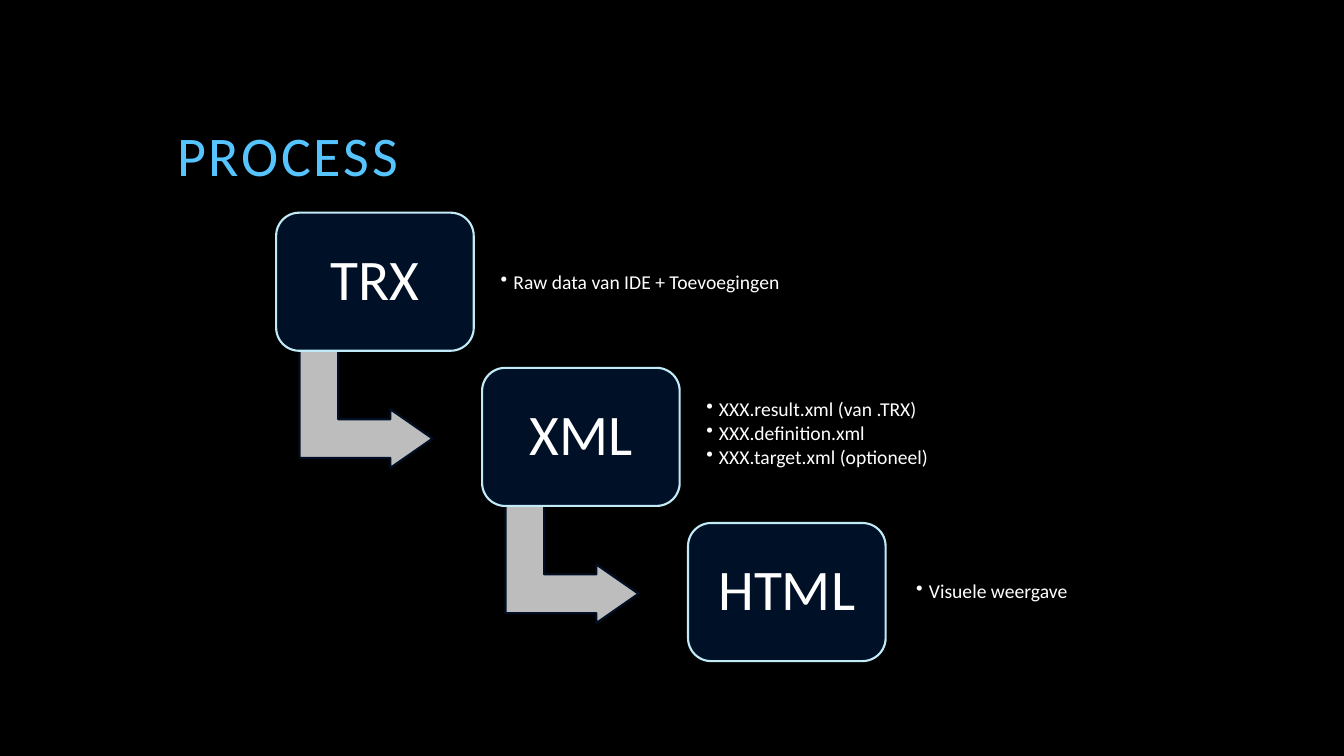
from lxml.etree import SubElement
from pptx import Presentation
from pptx.dml.color import RGBColor
from pptx.enum.shapes import MSO_SHAPE
from pptx.enum.text import MSO_ANCHOR, PP_ALIGN
from pptx.oxml.ns import qn
from pptx.util import Cm, Pt

BLACK = RGBColor(0x00, 0x00, 0x00)
WHITE = RGBColor(0xFF, 0xFF, 0xFF)
TITLE_BLUE = RGBColor(0x56, 0xC5, 0xFF)
BOX_NAVY = RGBColor(0x00, 0x10, 0x27)
BOX_EDGE = RGBColor(0xC1, 0xEB, 0xF7)
ARROW_GREY = RGBColor(0xBD, 0xBD, 0xBE)
ARROW_EDGE = RGBColor(0x00, 0x0F, 0x23)

# Box name, then left, top and width of its notes in cm, then the notes
STEPS = [
    ("TRX", 12.47, 5.72, 8.05, ["Raw data van IDE + Toevoegingen"]),
    ("XML", 17.65, 9.53, 6.55, ["XXX.result.xml (van .TRX)",
                                "XXX.definition.xml",
                                "XXX.target.xml (optioneel)"]),
    ("HTML", 22.94, 13.51, 5.49, ["Visuele weergave"]),
]
STEP_X, STEP_Y = 5.19, 3.91


def add_span(para, text, size, color):
    para.line_spacing = 0.9
    span = para.add_run()
    span.text = text
    span.font.name = "Calibri"
    span.font.size = Pt(size)
    span.font.color.rgb = color
    return span


def add_figure(kind, left, top, width, height, fill, edge):
    shape = page.shapes.add_shape(kind, Cm(left), Cm(top), Cm(width), Cm(height))
    shape.shadow.inherit = False
    shape.fill.solid()
    shape.fill.fore_color.rgb = fill
    shape.line.color.rgb = edge
    shape.line.width = Pt(1.5)
    return shape


deck = Presentation()
deck.slide_width, deck.slide_height = Cm(33.87), Cm(19.05)
page = deck.slides.add_slide(deck.slide_layouts[6])
page.background.fill.solid()
page.background.fill.fore_color.rgb = BLACK

# Title
title = page.shapes.add_textbox(Cm(4.22), Cm(1.07), Cm(25.4), Cm(3.81)).text_frame
title.word_wrap = True
title.vertical_anchor = MSO_ANCHOR.BOTTOM
span = add_span(title.paragraphs[0], "PROCESS", 40, TITLE_BLUE)
span.font._element.set("spc", "200")

# Staircase of steps
for i, (name, notes_left, notes_top, notes_width, notes) in enumerate(STEPS):
    right, down = i * STEP_X, i * STEP_Y

    # Arrow to the next step
    if i < len(STEPS) - 1:
        arrow = add_figure(MSO_SHAPE.BENT_UP_ARROW, 7.75 + right, 8.64 + down,
                           2.95, 3.35, ARROW_GREY, ARROW_EDGE)
        arrow.rotation = 90
        for k, ratio in enumerate([0.33, 0.25, 0.36]):
            arrow.adjustments[k] = ratio

    # Named box
    box = add_figure(MSO_SHAPE.ROUNDED_RECTANGLE, 6.96 + right, 5.36 + down,
                     4.98, 3.48, BOX_NAVY, BOX_EDGE)
    frame = box.text_frame
    frame.vertical_anchor = MSO_ANCHOR.MIDDLE
    frame.margin_left = frame.margin_right = Cm(0.43)
    frame.margin_top = frame.margin_bottom = Cm(0.43)
    para = frame.paragraphs[0]
    para.alignment = PP_ALIGN.CENTER
    add_span(para, name, 41, WHITE)

    # Bulleted notes
    frame = page.shapes.add_textbox(Cm(notes_left), Cm(notes_top),
                                    Cm(notes_width), Cm(2.82)).text_frame
    frame.word_wrap = True
    frame.vertical_anchor = MSO_ANCHOR.MIDDLE
    frame.margin_left = frame.margin_right = Cm(0.15)
    frame.margin_top = frame.margin_bottom = Cm(0.15)
    for k, note in enumerate(notes):
        para = frame.add_paragraph() if k else frame.paragraphs[0]
        add_span(para, note, 14, WHITE)
        para.space_after = Pt(2)
        layout = para._p.get_or_add_pPr()
        layout.set("marL", str(Cm(0.32)))
        layout.set("indent", str(-Cm(0.32)))
        SubElement(layout, qn("a:buChar")).set("char", "•")

deck.save("out.pptx")
